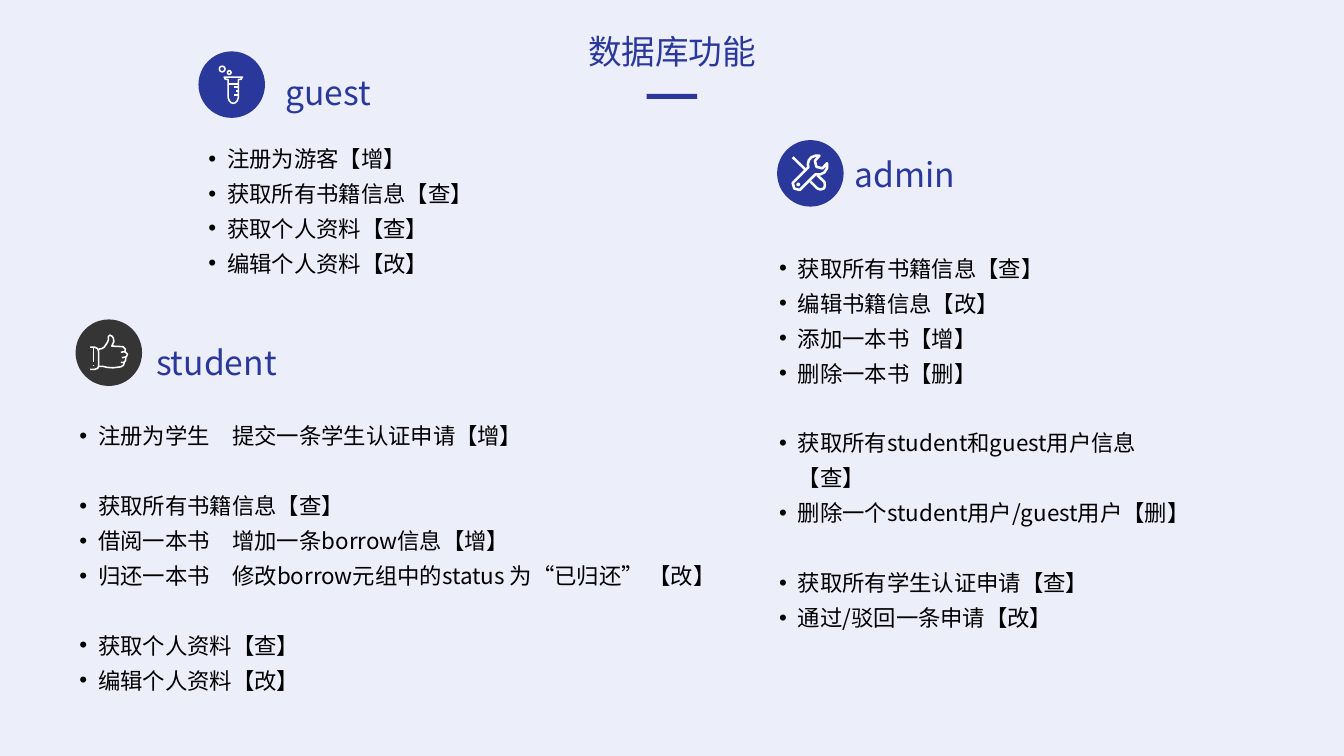
"""Build the slide of database functions for each kind of user."""
import math
from pptx import Presentation
from pptx.dml.color import RGBColor
from pptx.enum.shapes import MSO_SHAPE
from pptx.enum.text import MSO_ANCHOR, MSO_AUTO_SIZE, PP_ALIGN
from pptx.oxml.ns import qn
from pptx.util import Pt

OVAL, RECT = MSO_SHAPE.OVAL, MSO_SHAPE.RECTANGLE
TOP, NO_FIT = MSO_ANCHOR.TOP, MSO_AUTO_SIZE.NONE
LEFT, CENTER = PP_ALIGN.LEFT, PP_ALIGN.CENTER
THEME = {
    "bg": "ECEEFA", "blue": "2A389C", "dark": "353535", "white": "FFFFFF",
    "ink": "000000", "head_font": "Noto Sans CJK JP",
    "body_font": "Noto Sans CJK SC", "head_size": 24, "body_size": 16,
}
HEAD = ("head_font", "head_size", "blue")
BODY = ("body_font", "body_size", "ink")
TITLE = "数据库功能"
BADGE, INDENT, LINE_GAP, GRID = 47.5, 13.5, 25, 0.72


def ring(x, y, radius):
    """Return the closed outline of a small circle."""
    return [(x + radius * math.cos(k * math.pi / 6),
             y + radius * math.sin(k * math.pi / 6)) for k in range(13)]


TUBE = [
    [(25.5, 25.5), (43.5, 25.5), (42.5, 27.5), (39.5, 28), (39.5, 46),
     (38.5, 49), (36.5, 51), (34.5, 51.5), (32.5, 51), (30.5, 49),
     (29.5, 46), (29.5, 28), (26.5, 27.5), (25.5, 25.5)],
    [(29.5, 32.5), (39.5, 32.5)], [(35, 35.5), (39.5, 35.5)],
    [(35, 43.5), (39.5, 43.5)], [(37, 39.5), (39.5, 39.5)],
    ring(23.5, 17.5, 2.8), ring(30.5, 21, 1.8),
]
TOOLS = [
    [(15.5, 42.5), (31, 27), (30.5, 24), (31.5, 20), (34, 17), (38, 15.5),
     (42, 15.5), (37.5, 20.5), (39, 26.5), (45, 28), (49.5, 23),
     (49.5, 28), (47, 32), (43, 34), (38, 34), (22.5, 49.5), (17, 48),
     (15.5, 42.5)],
    [(15.5, 17), (29, 30)],
    [(33, 41), (40, 48), (43, 49), (46.5, 48), (47.5, 45), (47, 41.5),
     (40, 35)],
    ring(21, 44, 0.6),
]
THUMB = [
    [(14.5, 27.5), (19, 27.5), (22, 29), (23, 32), (23, 46), (22, 48.5),
     (19, 49.5), (14.5, 49.5)],
    [(18, 28), (18, 42)], [(18, 45), (18, 46.5)],
    [(23, 29.5), (26, 29), (28.5, 27.5), (31.5, 23), (32.5, 20.5),
     (32.5, 17), (34, 15.5), (36, 16.5), (37.5, 18.5), (38, 22),
     (36, 26.5), (47, 27), (49.5, 29.5), (49, 32), (45, 32.5)],
    [(49, 32), (51.5, 34.5), (50.5, 37), (46, 38)],
    [(50, 37.5), (49.5, 41), (48, 42.5), (45, 42.5)],
    [(48.5, 42.5), (47.5, 45.5), (45, 47), (37, 48), (31, 47.5),
     (27, 46.5), (23, 46.5)],
]

ROLES = [
    {"name": "guest", "badge": (141.8, 36.7), "fill": "blue",
     "icon": TUBE, "pen": 1.1, "head": (196.6, 47.5, 80, 36),
     "body": (141.8, 94.3, 234.7, 105.8),
     "blocks": [["注册为游客【增】", "获取所有书籍信息【查】",
                 "获取个人资料【查】", "编辑个人资料【改】"]]},
    {"name": "admin", "badge": (555.1, 100.1), "fill": "blue",
     "icon": TOOLS, "pen": 1.8, "head": (603.4, 106.6, 192.2, 36),
     "body": (549.4, 172.8, 311.8, 257),
     "blocks": [["获取所有书籍信息【查】", "编辑书籍信息【改】",
                 "添加一本书【增】", "删除一本书【删】"],
                ["获取所有student和guest用户信息【查】",
                 "删除一个student用户/guest用户【删】"],
                ["获取所有学生认证申请【查】", "通过/驳回一条申请【改】"]]},
    {"name": "student", "badge": (54, 228.2), "fill": "dark",
     "icon": THUMB, "pen": 1.1, "head": (104.4, 240.5, 192.2, 36),
     "body": (49.7, 292.3, 475.2, 206.6),
     "blocks": [["注册为学生　提交一条学生认证申请【增】"],
                ["获取所有书籍信息【查】", "借阅一本书　增加一条borrow信息【增】",
                 "归还一本书　修改borrow元组中的status 为“已归还” 【改】"],
                ["获取个人资料【查】", "编辑个人资料【改】"]]},
]


def color(key):
    """Return a theme colour."""
    return RGBColor.from_string(THEME[key])


def assign(target, values):
    """Set each named attribute on the target."""
    for name, value in values.items():
        setattr(target, name, value)


def place(sp, box):
    """Move and size a shape in points."""
    assign(sp, dict(zip(("left", "top", "width", "height"), map(Pt, box))))


def write(p, text, style, align=LEFT):
    """Write one styled run into a paragraph."""
    font, size, ink = style
    p.alignment = align
    r = p.add_run()
    r.text = text
    assign(r.font, {"name": THEME[font], "size": Pt(THEME[size]), "bold": False})
    r.font.color.rgb = color(ink)
    east = r.font._element.makeelement(qn("a:ea"), {"typeface": THEME[font]})
    r.font._element.find(qn("a:latin")).addnext(east)


def add_bullet(p):
    """Give a paragraph a hanging round bullet."""
    ppr = p._p.get_or_add_pPr()
    ppr.set("marL", str(Pt(INDENT)))
    ppr.set("indent", str(-Pt(INDENT)))
    for tag, key, value in (("a:buFont", "typeface", "Arial"),
                            ("a:buChar", "char", "•")):
        ppr.append(ppr.makeelement(qn(tag), {key: value}))


def add_text_box(slide, box):
    """Add a wrapping text box and return its frame."""
    tf = slide.shapes.add_textbox(*map(Pt, box)).text_frame
    assign(tf, {"word_wrap": True, "auto_size": NO_FIT})
    return tf


def add_solid(shapes, kind, box, fill):
    """Add a plain filled shape."""
    sp = shapes.add_shape(kind, *map(Pt, box))
    sp.shadow.inherit = False
    sp.fill.solid()
    sp.fill.fore_color.rgb = color(fill)
    sp.line.fill.background()


def add_badge(slide, role):
    """Add a round badge with its line icon."""
    shapes = slide.shapes.add_group_shape().shapes
    left, top = role["badge"]
    add_solid(shapes, OVAL, (left, top, BADGE, BADGE), role["fill"])
    strokes = [[(Pt(left + x * GRID), Pt(top + y * GRID)) for x, y in stroke]
               for stroke in role["icon"]]
    pen = shapes.build_freeform(*strokes[0][0])
    for k, stroke in enumerate(strokes):
        if k:
            pen.move_to(*stroke[0])
        pen.add_line_segments(stroke[1:], close=False)
    sp = pen.convert_to_shape()
    sp.shadow.inherit = False
    sp.fill.background()
    sp.line.color.rgb = color("white")
    sp.line.width = Pt(role["pen"])


def add_role(slide, role):
    """Add a badge, a heading and the bulleted functions of one role."""
    add_badge(slide, role)
    write(add_text_box(slide, role["head"]).paragraphs[0], role["name"], HEAD)
    tf = add_text_box(slide, role["body"])
    for b, block in enumerate(role["blocks"]):
        for k, item in enumerate(block):
            p = tf.add_paragraph() if b or k else tf.paragraphs[0]
            gap = LINE_GAP if b and not k else 0
            assign(p, {"line_spacing": 1.3, "space_before": Pt(gap)})
            write(p, item, BODY)
            add_bullet(p)


def main():
    """Build and save the slide."""
    prs = Presentation()
    assign(prs, {"slide_width": Pt(960), "slide_height": Pt(540)})
    slide = prs.slides.add_slide(prs.slide_layouts[5])
    slide.background.fill.solid()
    slide.background.fill.fore_color.rgb = color("bg")
    title = slide.shapes.title
    place(title, (324, 18.7, 312, 36))
    assign(title.text_frame, {"vertical_anchor": TOP, "auto_size": NO_FIT,
                              "word_wrap": True})
    write(title.text_frame.paragraphs[0], TITLE, HEAD, CENTER)
    add_solid(slide.shapes, RECT, (462, 67, 36, 3.6), "blue")
    for role in ROLES:
        add_role(slide, role)
    prs.save("out.pptx")


if __name__ == "__main__":
    main()
